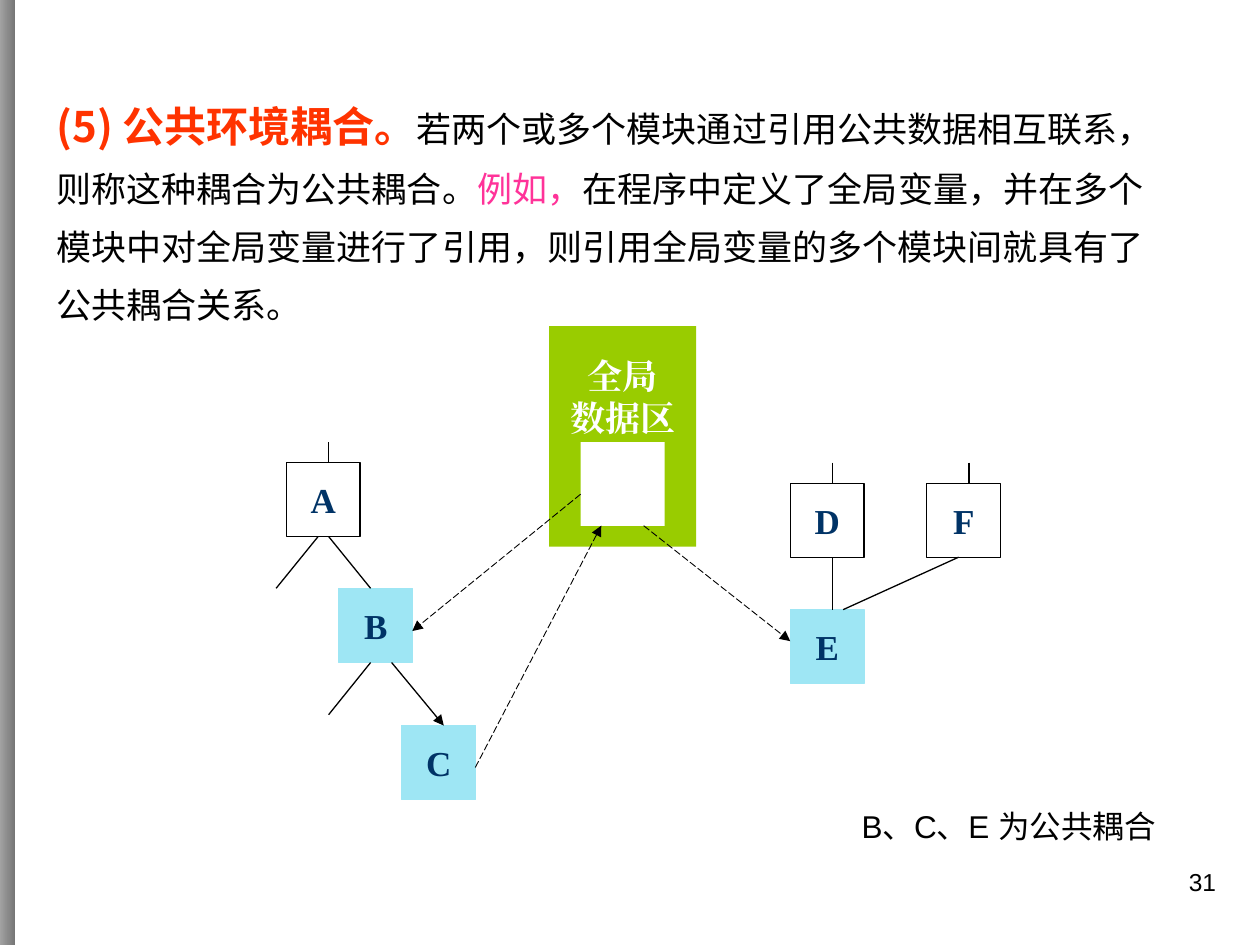
from dataclasses import dataclass

import pptx
import pptx.dml.color
import pptx.enum.dml
import pptx.enum.shapes
import pptx.enum.text
import pptx.oxml
import pptx.oxml.ns
import pptx.util

Pt = pptx.util.Pt
Align = pptx.enum.text.PP_ALIGN
Anchor = pptx.enum.text.MSO_ANCHOR


@dataclass(frozen=True)
class Theme:
    black: str = "000000"
    white: str = "FFFFFF"
    red: str = "FF3300"
    pink: str = "FF3399"
    green: str = "99CC00"
    cyan: str = "9EE6F4"
    navy: str = "003366"
    pale: str = "A2A2A2"
    grey: str = "767676"
    han: str = "Noto Sans CJK SC"
    sans: str = "Arial"
    serif: str = "Times New Roman"
    head: float = 24
    body: float = 20
    note: float = 18
    small: float = 14


THEME = Theme()
SIDE = 42.2  # edge of a module box


@dataclass(frozen=True)
class Run:
    text: str
    size: float
    font: str
    color: str
    bold: bool = False


@dataclass(frozen=True)
class Module:
    name: str
    left: float
    top: float
    shared: bool = False


@dataclass(frozen=True)
class Link:
    x1: float
    y1: float
    x2: float
    y2: float
    arrow: bool = False
    dash: bool = False


MODULES = [
    Module("A", 163.6, 264.4),
    Module("B", 193.6, 336.2, True),
    Module("C", 229.6, 414.6, True),
    Module("D", 451.6, 276.4),
    Module("E", 451.6, 348.4, True),
    Module("F", 529.6, 276.4),
]

LINKS = [
    Link(187.8, 252.6, 187.8, 264.4),
    Link(187.8, 306.6, 211.8, 336.2),
    Link(181.8, 306.6, 157.8, 336.2),
    Link(223.8, 378.6, 253.6, 414.6, arrow=True),
    Link(211.8, 378.6, 187.8, 408.4),
    Link(475.8, 264.4, 475.8, 276.4),
    Link(475.8, 318.4, 475.8, 348.4),
    Link(547.8, 318.4, 481.8, 348.4),
    Link(553.8, 264.4, 553.8, 276.4),
    Link(331.8, 282.4, 235.6, 360.6, arrow=True, dash=True),
    Link(271.6, 438.6, 343.6, 300.4, arrow=True, dash=True),
    Link(367.8, 300.4, 451.6, 366.4, arrow=True, dash=True),
]


def rgb(code: str) -> pptx.dml.color.RGBColor:
    return pptx.dml.color.RGBColor.from_string(code)


def write(frame, lines: list[list[Run]], align=Align.LEFT, wrap: bool = False) -> None:
    """Fill a text frame with one paragraph per list of runs."""
    frame.word_wrap = wrap
    for num, line in enumerate(lines):
        para = frame.add_paragraph() if num else frame.paragraphs[0]
        para.alignment = align
        for item in line:
            run = para.add_run()
            run.text = item.text
            font = run.font
            font.size, font.bold, font.name = Pt(item.size), item.bold, item.font
            font.color.rgb = rgb(item.color)
            east = pptx.oxml.parse_xml(
                f'<a:ea {pptx.oxml.ns.nsdecls("a")} typeface="{item.font}"/>')
            font._element.find(pptx.oxml.ns.qn("a:latin")).addnext(east)


def add_text(slide, box: tuple, lines: list[list[Run]], align=Align.LEFT, wrap=True):
    frame = slide.shapes.add_textbox(*map(Pt, box)).text_frame
    write(frame, lines, align, wrap)
    return frame


def add_rect(slide, box: tuple, fill: str, edge: str | None = None):
    kind = pptx.enum.shapes.MSO_SHAPE.RECTANGLE
    rect = slide.shapes.add_shape(kind, *map(Pt, box))
    rect.shadow.inherit = False
    rect.fill.solid()
    rect.fill.fore_color.rgb = rgb(fill)
    if edge:
        rect.line.color.rgb = rgb(edge)
        rect.line.width = Pt(0.75)
    else:
        rect.line.fill.background()
    return rect


def add_strip(slide) -> None:
    strip = add_rect(slide, (0, 0, 8.6, 540), THEME.grey)
    strip.fill.gradient()
    strip.fill.gradient_angle = 0
    for stop, color in zip(strip.fill.gradient_stops, (THEME.pale, THEME.grey)):
        stop.color.rgb = rgb(color)


def add_module(slide, mod: Module) -> None:
    fill, edge = (THEME.cyan, THEME.cyan) if mod.shared else (THEME.white, THEME.black)
    rect = add_rect(slide, (mod.left, mod.top, SIDE, SIDE), fill, edge)
    rect.text_frame.vertical_anchor = Anchor.MIDDLE
    label = Run(mod.name, THEME.body, THEME.serif, THEME.navy, True)
    write(rect.text_frame, [[label]], Align.CENTER)


def add_link(slide, link: Link) -> None:
    kind = pptx.enum.shapes.MSO_CONNECTOR.STRAIGHT
    ends = map(Pt, (link.x1, link.y1, link.x2, link.y2))
    wire = slide.shapes.add_connector(kind, *ends)
    wire.line.color.rgb = rgb(THEME.black)
    wire.line.width = Pt(0.5 if link.dash else 0.75)
    if link.dash:
        wire.line.dash_style = pptx.enum.dml.MSO_LINE.LONG_DASH
    names = pptx.oxml.ns.nsdecls("a")
    if link.arrow:
        wire.line._get_or_add_ln().append(
            pptx.oxml.parse_xml(f'<a:tailEnd {names} type="triangle"/>'))
    wire._element.spPr.append(pptx.oxml.parse_xml(f"<a:effectLst {names}/>"))


def add_store(slide) -> None:
    """Draw the global data area without its inner cell."""
    area = add_rect(slide, (313.8, 186.4, 84, 126), THEME.green)
    area.text_frame.vertical_anchor = Anchor.TOP
    area.text_frame.margin_top = Pt(16)
    lines = [[Run(text, THEME.body, THEME.serif, THEME.white, True)]
             for text in ("全局", "数据区")]
    write(area.text_frame, lines, Align.CENTER)


def add_body(slide) -> None:
    def plain(text: str, color: str = THEME.black) -> Run:
        return Run(text, THEME.body, THEME.han, color)

    runs = [
        Run("(5) 公共环境耦合。", THEME.head, THEME.han, THEME.red, True),
        plain("若两个或多个模块通过引用公共数据相互联系，则称这种耦合为公共耦合。"),
        plain("例如，", THEME.pink),
        plain("在程序中定义了全局变量，并在多个模块中对全局变量进行了引用，"
              "则引用全局变量的多个模块间就具有了公共耦合关系。"),
    ]
    frame = add_text(slide, (25.2, 43.2, 648, 146.2), [runs])
    frame.paragraphs[0].line_spacing = 1.38


def main() -> None:
    deck = pptx.Presentation()
    deck.slide_width, deck.slide_height = Pt(720), Pt(540)
    slide = deck.slides.add_slide(deck.slide_layouts[6])
    add_strip(slide)
    add_text(slide, (552.2, 491.8, 149.8, 36),
             [[Run("31", THEME.small, THEME.sans, THEME.black)]], Align.RIGHT)
    add_body(slide)
    add_store(slide)
    for mod in MODULES:
        add_module(slide, mod)
    add_rect(slide, (331.8, 252.6, 48, 48), THEME.white)
    for link in LINKS:
        add_link(slide, link)
    note = add_rect(slide, (472.3, 457.9, 208.1, 28.8), THEME.white)
    note.text_frame.vertical_anchor = Anchor.TOP
    write(note.text_frame, [[
        Run("B、C、E ", THEME.note, THEME.sans, THEME.black),
        Run("为公共耦合", THEME.note, THEME.han, THEME.black),
    ]], Align.CENTER)
    deck.save("out.pptx")


if __name__ == "__main__":
    main()
